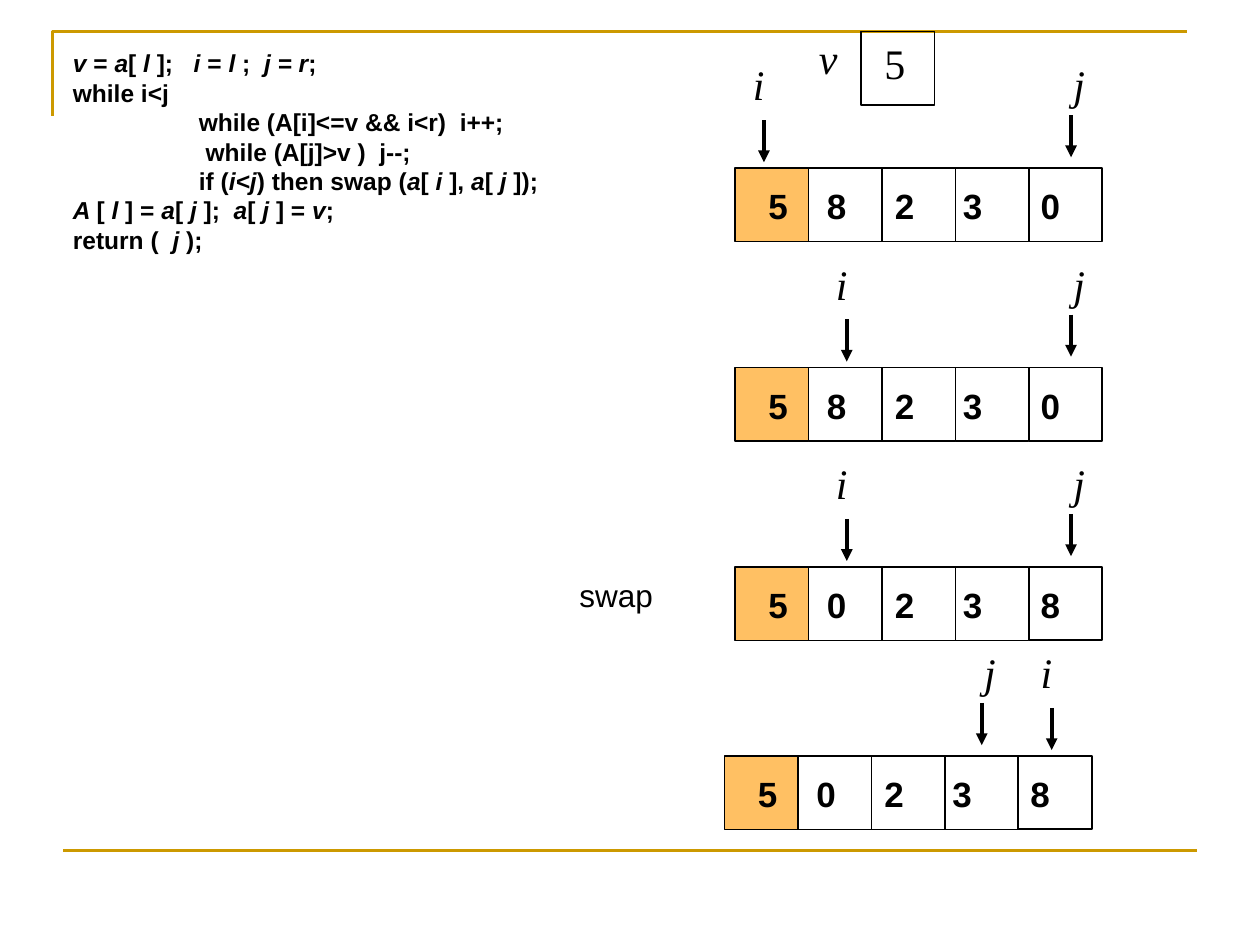
from lxml import etree
from pptx import Presentation
from pptx.dml.color import RGBColor
from pptx.enum import shapes, text
from pptx.oxml.ns import qn
from pptx.util import Cm, Pt

COLOR = {"ink": "000000", "gold": "CC9900", "pivot": "FFC063"}
SANS, SERIF = "Arial", "Times New Roman"

# Content: asterisks enclose italic parts of the code
CODE = [
    "*v *= *a*[ *l *];   *i* = *l *;  *j = r*;",
    "while i<j",
    "\twhile (A[i]<=v && i<r)  i++;",
    "\t while (A[j]>v )  j--;",
    "\tif (*i<j*) then swap (*a*[ *i *], *a*[ *j *]);",
    "*A *[ *l *] = *a*[ *j *];  *a*[ *j *] = *v*;",
    "return (  *j *);",
]
# Array states: left, top, values, arrow position of each index (cm)
STATES = [
    (14.82, 3.39, "58230", {"i": 15.4, "j": 21.59}),
    (14.82, 7.41, "58230", {"i": 17.07, "j": 21.59}),
    (14.82, 11.43, "50238", {"i": 17.07, "j": 21.59}),
    (14.61, 15.24, "50238", {"i": 21.2, "j": 19.79}),
]
CELL = 1.48
STOPS = [1.18, 2.55, 3.92, 5.49]            # tab stops of the values
INDEX = {"i": (0.47, 0.97), "j": (0.2, 1.07)}  # label shift, arrow rise

prs = Presentation()
prs.slide_width, prs.slide_height = Cm(25.4), Cm(19.05)
slide = prs.slides.add_slide(prs.slide_layouts[6])


def rgb(name):
    return RGBColor.from_string(COLOR[name])


def write(lines, x, y, w, h, size=24, font=SERIF, bold=False,
          italic=False, wrap=False, tabs=()):
    frame = slide.shapes.add_textbox(Cm(x), Cm(y), Cm(w), Cm(h)).text_frame
    frame.word_wrap = wrap
    frame.auto_size = text.MSO_AUTO_SIZE.SHAPE_TO_FIT_TEXT
    for n, line in enumerate(lines):
        para = frame.add_paragraph() if n else frame.paragraphs[0]
        if tabs:
            stops = etree.SubElement(para._p.get_or_add_pPr(), qn("a:tabLst"))
            for stop in tabs:
                etree.SubElement(stops, qn("a:tab"), pos=str(Cm(stop)), algn="l")
        for k, part in enumerate(line.split("*")):
            if part:
                run = para.add_run()
                run.text = part
                run.font.name, run.font.size = font, Pt(size)
                run.font.bold = bold
                run.font.italic = italic or k % 2 == 1
                run.font.color.rgb = rgb("ink")


def box(x, y, fill=None, width=0.75):
    shape = slide.shapes.add_shape(
        shapes.MSO_SHAPE.RECTANGLE, Cm(x), Cm(y), Cm(CELL), Cm(CELL))
    shape.shadow.inherit = False
    if fill:
        shape.fill.solid()
        shape.fill.fore_color.rgb = rgb(fill)
    else:
        shape.fill.background()
    shape.line.color.rgb = rgb("ink")
    shape.line.width = Pt(width)


def rule(x1, y1, x2, y2, color, width, arrow=False):
    line = slide.shapes.add_connector(
        shapes.MSO_CONNECTOR.STRAIGHT, Cm(x1), Cm(y1), Cm(x2), Cm(y2))
    line.line.color.rgb = rgb(color)
    line.line.width = Pt(width)
    if arrow:
        etree.SubElement(line.line._get_or_add_ln(), qn("a:tailEnd"),
                         type="triangle")
    etree.SubElement(line._element.spPr, qn("a:effectLst"))


# Gold frame
build = slide.shapes.build_freeform(Cm(1.06), Cm(2.33))
build.add_line_segments([(Cm(1.06), Cm(0.64)), (Cm(23.92), Cm(0.64))],
                        close=False)
frame = build.convert_to_shape()
frame.shadow.inherit = False
frame.fill.background()
frame.line.color.rgb = rgb("gold")
frame.line.width = Pt(1.5)
rule(1.27, 17.15, 24.13, 17.15, "gold", 1.5)

# Partition code
write(CODE, 1.22, 0.85, 10.01, 4.42, size=14, font=SANS, bold=True,
      tabs=[2.54])

# Pivot variable
box(17.36, 0.64)
write(["v"], 16.26, 0.53, 0.89, 1.27, italic=True)
write(["5"], 17.58, 0.64, 0.91, 1.27)

# Array states with their index arrows
for left, top, values, marks in STATES:
    for n in range(len(values)):
        last = n == len(values) - 1
        box(left + n * CELL, top, None if n else "pivot", 1 if last else 0.75)
    write(["\t".join(values)], left + 0.42, top + 0.21, 6.78, 1.96,
          size=20, font=SANS, bold=True, wrap=True, tabs=STOPS)
    for name, x in marks.items():
        shift, rise = INDEX[name]
        write([name], x - shift, top - 2.33, 0.74, 1.27, italic=True)
        rule(x, top - rise, x, top - rise + 0.85, "ink", 2.25, arrow=True)

# Step note
write(["swap"], 11.43, 11.48, 2.97, 1.02, size=18, font=SANS, wrap=True)

prs.save("out.pptx")
